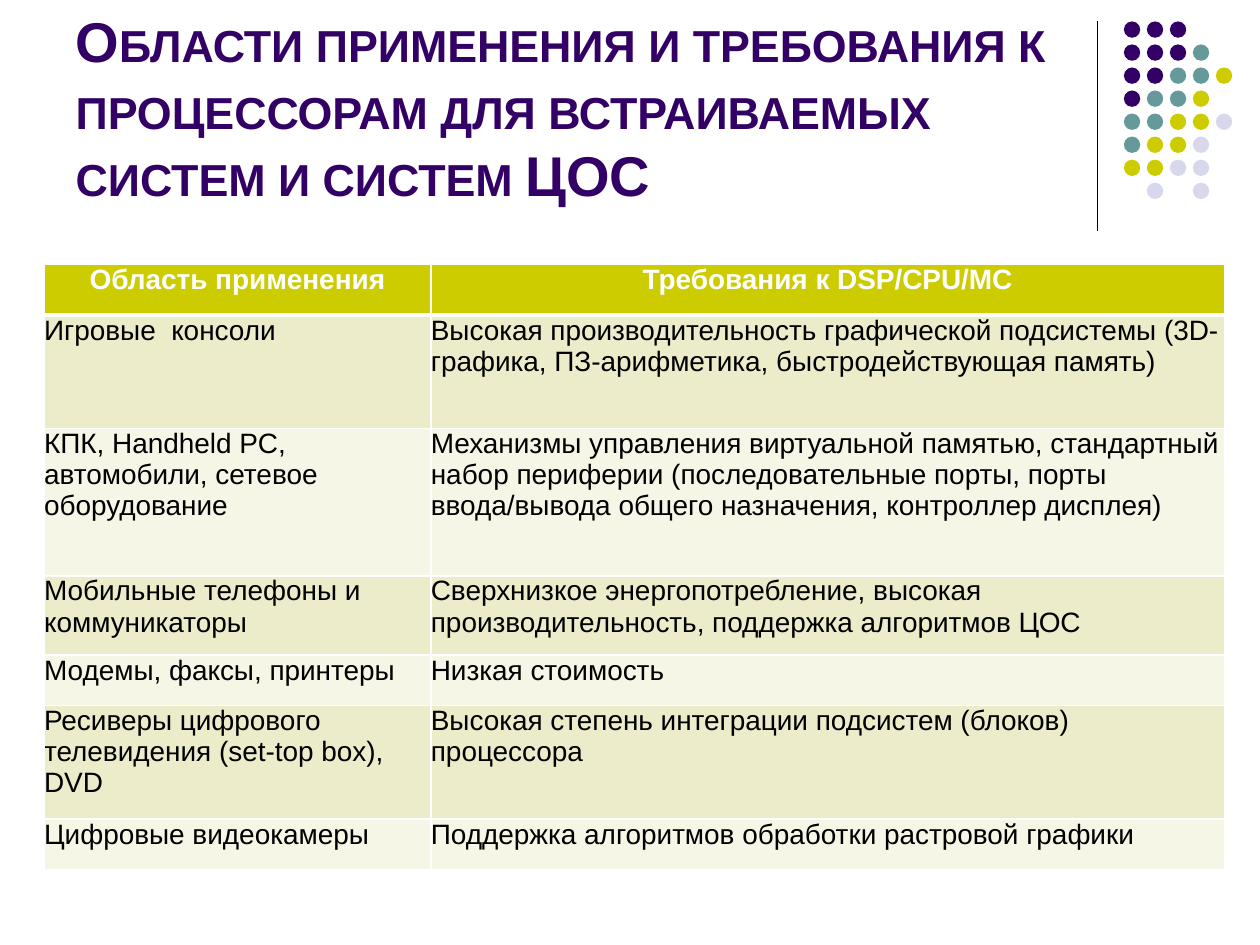
from lxml.etree import SubElement
from pptx import Presentation
from pptx.dml.color import RGBColor
from pptx.enum.shapes import MSO_CONNECTOR, MSO_SHAPE
from pptx.enum.text import MSO_ANCHOR, MSO_AUTO_SIZE, PP_ALIGN
from pptx.oxml.ns import qn
from pptx.util import Inches, Pt

HUES = {
    "purple": "330066",
    "teal": "669999",
    "lime": "CCCC00",
    "pale": "D8D8EC",
    "band": "ECECCB",
    "light": "F6F6E7",
    "white": "FFFFFF",
    "black": "000000",
}
MARKS = {"P": "purple", "T": "teal", "L": "lime", "G": "pale"}
DOTS = ["PPP", "PPPT", "PPTTL", "PTTL", "TTLLG", "TLLG", "LLGG", " G G"]
TITLE = ("Области применения и требования к процессорам "
         "для встраиваемых систем и систем ЦОС")
ROWS = [
    (0.4, "Область применения", "Требования к DSP/CPU/MC"),
    (0.9, "Игровые  консоли",
     "Высокая производительность графической подсистемы "
     "(3D-графика, ПЗ-арифметика, быстродействующая память)"),
    (1.17, "КПК, Handheld PC, автомобили, сетевое оборудование",
     "Механизмы управления виртуальной памятью, стандартный набор "
     "периферии (последовательные порты, порты ввода/вывода общего "
     "назначения, контроллер дисплея)"),
    (0.63, "Мобильные телефоны и коммуникаторы",
     "Сверхнизкое энергопотребление, высокая производительность, "
     "поддержка алгоритмов ЦОС"),
    (0.4, "Модемы, факсы, принтеры", "Низкая стоимость"),
    (0.9, "Ресиверы цифрового телевидения (set-top box), DVD",
     "Высокая степень интеграции подсистем (блоков) процессора"),
    (0.4, "Цифровые видеокамеры",
     "Поддержка алгоритмов обработки растровой графики"),
]
WIDTHS = [3.07, 6.3]


def color(name):
    return RGBColor.from_string(HUES[name])


def style(run, size, hue, bold):
    font = run.font
    font.name = "Arial"
    font.size = Pt(size)
    font.bold = bold
    font.color.rgb = color(hue)


def add_title(slide):
    title = slide.shapes.title
    title.left, title.top = Inches(0.5), Inches(0.13)
    title.width, title.height = Inches(8.25), Inches(1.57)
    frame = title.text_frame
    frame.text = TITLE
    frame.word_wrap = True
    frame.auto_size = MSO_AUTO_SIZE.NONE
    frame.vertical_anchor = MSO_ANCHOR.BOTTOM
    para = frame.paragraphs[0]
    para.alignment = PP_ALIGN.LEFT
    run = para.runs[0]
    style(run, 32, "purple", True)
    run._r.get_or_add_rPr().set("cap", "small")


def add_rule(slide):
    rule = slide.shapes.add_connector(
        MSO_CONNECTOR.STRAIGHT,
        Inches(8.71), Inches(0.17), Inches(8.71), Inches(1.83))
    rule.line.color.rgb = color("black")
    rule.line.width = Pt(0.75)
    SubElement(rule._element.spPr, qn("a:effectLst"))


def add_dot(slide, left, top, hue):
    dot = slide.shapes.add_shape(
        MSO_SHAPE.OVAL, Inches(left), Inches(top), Inches(0.13), Inches(0.13))
    dot.shadow.inherit = False
    dot.fill.solid()
    dot.fill.fore_color.rgb = color(hue)
    dot.line.fill.background()


def add_dots(slide):
    step_x, step_y = 0.73 / 4, 1.28 / 7
    for row, line in enumerate(DOTS):
        for col, mark in enumerate(line):
            if mark in MARKS:
                add_dot(slide, 8.92 + col * step_x, 0.17 + row * step_y,
                        MARKS[mark])


def add_edge(cell, side, width):
    edge = SubElement(cell._tc.get_or_add_tcPr(), qn("a:ln" + side),
                      w=str(Pt(width)))
    fill = SubElement(edge, qn("a:solidFill"))
    SubElement(fill, qn("a:srgbClr"), val=HUES["white"])


def fill_cell(cell, text, row):
    head = row == 0
    cell.margin_left = cell.margin_right = 0
    cell.margin_top = cell.margin_bottom = 0
    cell.vertical_anchor = MSO_ANCHOR.TOP
    thick = {"T": row == 1, "B": head}
    for side in "LRTB":
        add_edge(cell, side, 3 if thick.get(side) else 1)
    cell.fill.solid()
    band = "band" if row % 2 else "light"
    cell.fill.fore_color.rgb = color("lime" if head else band)
    cell.text_frame.text = text
    para = cell.text_frame.paragraphs[0]
    para.alignment = PP_ALIGN.CENTER if head else PP_ALIGN.LEFT
    style(para.runs[0], 16, "white" if head else "black", head)


def add_grid(slide):
    high = sum(row[0] for row in ROWS)
    table = slide.shapes.add_table(
        len(ROWS), len(WIDTHS), Inches(0.35), Inches(2.1),
        Inches(sum(WIDTHS)), Inches(high)).table
    for col, width in zip(table.columns, WIDTHS):
        col.width = Inches(width)
    for row, (height, *texts) in enumerate(ROWS):
        table.rows[row].height = Inches(height)
        for col, text in enumerate(texts):
            fill_cell(table.cell(row, col), text, row)


def main():
    deck = Presentation()
    deck.slide_width, deck.slide_height = Inches(10), Inches(7.5)
    slide = deck.slides.add_slide(deck.slide_layouts[5])
    add_rule(slide)
    add_dots(slide)
    add_title(slide)
    add_grid(slide)
    deck.save("out.pptx")


if __name__ == "__main__":
    main()
